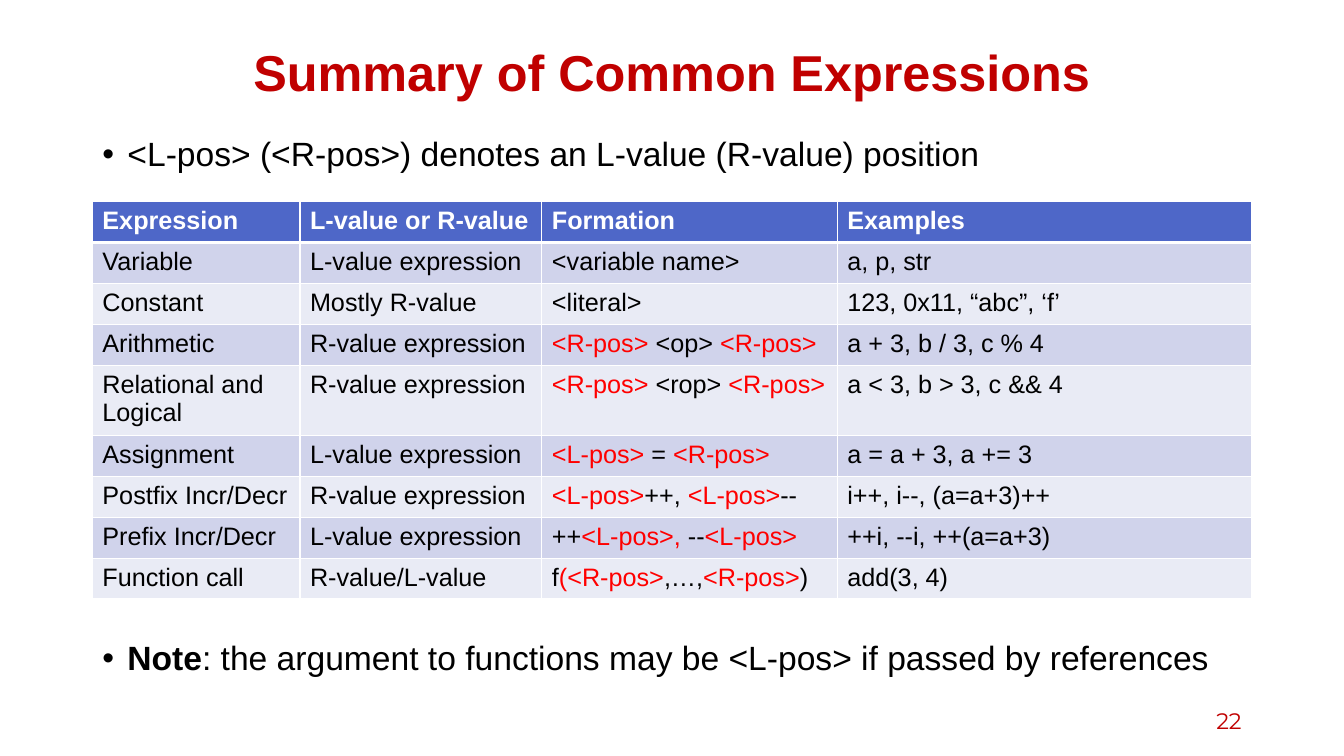
from lxml import etree
from pptx import Presentation
from pptx import util as u
from pptx.dml.color import RGBColor
from pptx.enum import text
from pptx.oxml import ns

COLORS = {"title": "C00000", "body": "000000", "white": "FFFFFF", "pos": "FF0000",
          "header": "4E67C8", "odd": "D0D3EB", "even": "E9EBF5"}
LEFT, WIDTH = 66, 828


def add_run(p, words, color, size, bold=False, font="Arial"):
    r = p.add_run()
    r.text = words
    for name, value in {"name": font, "size": u.Pt(size), "bold": bold}.items():
        setattr(r.font, name, value)
    r.font.color.rgb = RGBColor.from_string(COLORS[color])


def add_borders(cell, widths):
    tcPr = cell._tc.get_or_add_tcPr()
    for i, (side, width) in enumerate(widths.items()):
        ln = etree.Element(ns.qn(f"a:ln{side}"), w=str(u.Pt(width)))
        fill = etree.SubElement(ln, ns.qn("a:solidFill"))
        etree.SubElement(fill, ns.qn("a:srgbClr"), val=COLORS["white"])
        tcPr.insert(i, ln)


prs = Presentation()
prs.slide_width, prs.slide_height = u.Pt(960), u.Pt(540)
s = prs.slides.add_slide(prs.slide_layouts[5])

# Title
sp = s.shapes.title
for name, value in {"left": LEFT, "top": 28.8, "width": WIDTH, "height": 50.4}.items():
    setattr(sp, name, u.Pt(value))
sp.text_frame.vertical_anchor = text.MSO_ANCHOR.MIDDLE
p = sp.text_frame.paragraphs[0]
p.alignment, p.line_spacing = text.PP_ALIGN.CENTER, 0.9
add_run(p, "Summary of Common Expressions", "title", 36, True)

# Bullets above and below the table: (space before, [(words, bold), ...])
bullets = [
    (10, [("<L-pos> (<R-pos>) denotes an L-value (R-value) position", False)]),
    (334, [("Note", True),
           (": the argument to functions may be <L-pos> if passed by references", False)]),
]
sp = s.shapes.add_textbox(u.Pt(LEFT), u.Pt(95), u.Pt(WIDTH), u.Pt(397))
tf = sp.text_frame
tf.word_wrap = True
for i, (before, runs) in enumerate(bullets):
    p = tf.add_paragraph() if i else tf.paragraphs[0]
    p.line_spacing, p.space_before = 0.9, u.Pt(before)
    pPr = p._p.get_or_add_pPr()
    pPr.set("marL", str(u.Pt(18)))
    pPr.set("indent", str(u.Pt(-18)))
    etree.SubElement(pPr, ns.qn("a:buFont"), typeface="Arial")
    etree.SubElement(pPr, ns.qn("a:buChar"), char="•")
    for words, bold in runs:
        add_run(p, words, "body", 24, bold)

# Table: a bar switches between plain and red text
rows = [
    ["Expression", "L-value or R-value", "Formation", "Examples"],
    ["Variable", "L-value expression", "<variable name>", "a, p, str"],
    ["Constant", "Mostly R-value", "<literal>", "123, 0x11, “abc”, ‘f’"],
    ["Arithmetic", "R-value expression", "|<R-pos> |<op> |<R-pos>", "a + 3, b / 3, c % 4"],
    ["Relational and Logical", "R-value expression", "|<R-pos> |<rop> |<R-pos>",
     "a < 3, b > 3, c && 4"],
    ["Assignment", "L-value expression", "|<L-pos> |= |<R-pos>", "a = a + 3, a += 3"],
    ["Postfix Incr/Decr", "R-value expression", "|<L-pos>|++, |<L-pos>|--",
     "i++, i--, (a=a+3)++"],
    ["Prefix Incr/Decr", "L-value expression", "++|<L-pos>, |--|<L-pos>",
     "++i, --i, ++(a=a+3)"],
    ["Function call", "R-value/L-value", "f|(<R-pos>|,…,|<R-pos>|)", "add(3, 4)"],
]
col_widths = [148.3, 172.8, 211, 295.9]
table = s.shapes.add_table(len(rows), len(col_widths), u.Pt(LEFT), u.Pt(144),
                           u.Pt(WIDTH), u.Pt(260)).table
for col, width in zip(table.columns, col_widths):
    col.width = u.Pt(width)
for i, row in enumerate(rows):
    table.rows[i].height = u.Pt(28 if i == len(rows) - 1 else 29.2)
    band = "header" if i == 0 else "odd" if i % 2 else "even"
    for j, words in enumerate(row):
        cell = table.cell(i, j)
        cell.fill.solid()
        cell.fill.fore_color.rgb = RGBColor.from_string(COLORS[band])
        add_borders(cell, {"L": 1, "R": 1, "T": 3 if i == 1 else 1, "B": 3 if i == 0 else 1})
        for k, part in enumerate(words.split("|")):
            if part:
                color = "white" if i == 0 else "pos" if k % 2 else "body"
                add_run(cell.text_frame.paragraphs[0], part, color, 18, i == 0)

# Slide number
sp = s.shapes.add_textbox(u.Pt(678), u.Pt(500.5), u.Pt(216), u.Pt(28.8))
tf = sp.text_frame
tf.word_wrap, tf.vertical_anchor = True, text.MSO_ANCHOR.MIDDLE
p = tf.paragraphs[0]
p.alignment = text.PP_ALIGN.RIGHT
add_run(p, "22", "title", 16, font="Montserrat")

prs.save("out.pptx")
